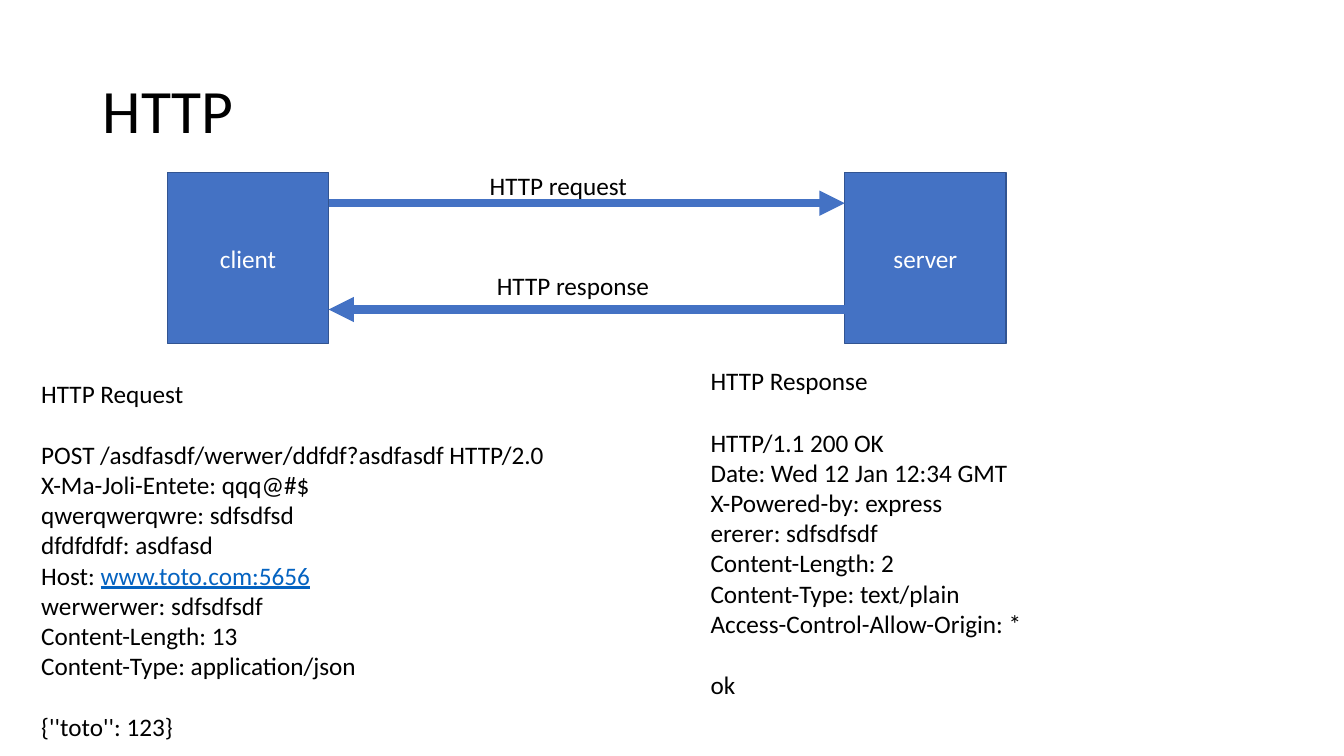
from dataclasses import dataclass
from lxml import etree
from pptx import Presentation
from pptx.dml.color import RGBColor
from pptx.enum.shapes import MSO_CONNECTOR, MSO_SHAPE
from pptx.enum.text import MSO_ANCHOR, MSO_AUTO_SIZE, PP_ALIGN
from pptx.oxml.ns import qn
from pptx.util import Inches, Pt

RECT = MSO_SHAPE.RECTANGLE
STRAIGHT = MSO_CONNECTOR.STRAIGHT
TOP, MIDDLE = MSO_ANCHOR.TOP, MSO_ANCHOR.MIDDLE
CENTER = PP_ALIGN.CENTER
GROW = MSO_AUTO_SIZE.SHAPE_TO_FIT_TEXT


@dataclass(frozen=True)
class Theme:
    font: str = "Calibri"
    ink: str = "000000"
    paper: str = "FFFFFF"
    fill: str = "4472C4"
    edge: str = "325491"
    link: str = "0563C1"
    head: int = 44
    body: int = 18
    gap: int = 22
    thin: int = 1
    thick: int = 6


@dataclass(frozen=True)
class Box:
    x: float
    y: float
    w: float
    h: float

    def share(self, x, y, w, h):
        return Box(self.x + self.w * x / 100, self.y + self.h * y / 100,
                   self.w * w / 100, self.h * h / 100)

    def place(self):
        return [Inches(size) for size in (self.x, self.y, self.w, self.h)]


THEME = Theme()
PAGE = Box(0, 0, 13.33, 7.5)
LINK = "www.toto.com:5656"

REQUEST = [
    ["HTTP Request"],
    ["POST /asdfasdf/werwer/ddfdf?asdfasdf HTTP/2.0", "X-Ma-Joli-Entete: qqq@#$",
     "qwerqwerqwre: sdfsdfsd", "dfdfdfdf: asdfasd", "Host: " + LINK,
     "werwerwer: sdfsdfsdf", "Content-Length: 13", "Content-Type: application/json"],
    ["{''toto'': 123}"],
]
RESPONSE = [
    ["HTTP Response"],
    ["HTTP/1.1 200 OK", "Date: Wed 12 Jan 12:34 GMT", "X-Powered-by: express",
     "ererer: sdfsdfsdf", "Content-Length: 2", "Content-Type: text/plain",
     "Access-Control-Allow-Origin: *"],
    ["ok"],
]


def rgb(code):
    return RGBColor.from_string(code)


def style(run, size, color):
    run.font.name = THEME.font
    run.font.size = Pt(size)
    run.font.color.rgb = rgb(color)


def add_text(slide, box, text, size=THEME.body, anchor=TOP, wrap=False):
    frame = slide.shapes.add_textbox(*box.place()).text_frame
    frame.word_wrap = wrap
    frame.vertical_anchor = anchor
    if not wrap:
        frame.auto_size = GROW
    frame.text = text
    for para in frame.paragraphs:
        for run in para.runs:
            style(run, size, THEME.ink)
    return frame


def add_title(slide, box, text):
    frame = add_text(slide, box, text, THEME.head, MIDDLE, True)
    frame.paragraphs[0].line_spacing = 0.9


def add_node(slide, box, text):
    node = slide.shapes.add_shape(RECT, *box.place())
    node.shadow.inherit = False
    node.fill.solid()
    node.fill.fore_color.rgb = rgb(THEME.fill)
    node.line.color.rgb = rgb(THEME.edge)
    node.line.width = Pt(THEME.thin)
    frame = node.text_frame
    frame.vertical_anchor = MIDDLE
    frame.text = text
    frame.paragraphs[0].alignment = CENTER
    style(frame.paragraphs[0].runs[0], THEME.body, THEME.paper)


def add_arrow(slide, start, end, y):
    arrow = slide.shapes.add_connector(
        STRAIGHT, Inches(start), Inches(y), Inches(end), Inches(y))
    arrow.line.color.rgb = rgb(THEME.fill)
    arrow.line.width = Pt(THEME.thick)
    props = arrow.element.spPr
    etree.SubElement(props.find(qn("a:ln")), qn("a:tailEnd"), type="triangle")
    etree.SubElement(props, qn("a:effectLst"))


def add_flow(slide, box):
    side = 19.23
    client = box.share(0, 0, side, 100)
    server = box.share(100 - side, 0, side, 100)
    add_node(slide, client, "client")
    add_node(slide, server, "server")
    left, right = client.x + client.w, server.x
    add_arrow(slide, left, right, box.y + box.h * 0.18)
    add_arrow(slide, right, left, box.y + box.h * 0.8)
    add_text(slide, box.share(37.26, -4.12, 19, 23.5), "HTTP request")
    add_text(slide, box.share(38.1, 54.12, 20.8, 23.5), "HTTP response")


def add_message(slide, box, blocks):
    lines = [line for block in blocks for line in block]
    frame = add_text(slide, box, "\n".join(lines))
    paras = iter(frame.paragraphs)
    for index, block in enumerate(blocks):
        for row, line in enumerate(block):
            para = next(paras)
            if index and not row:
                para.space_before = Pt(THEME.gap)
            if line.endswith(LINK):
                para.runs[0].text = line.removesuffix(LINK)
                run = para.add_run()
                run.text = LINK
                style(run, THEME.body, THEME.link)
                run.font.underline = True


def main():
    deck = Presentation()
    deck.slide_width, deck.slide_height = Inches(PAGE.w), Inches(PAGE.h)
    slide = deck.slides.add_slide(deck.slide_layouts[6])
    add_title(slide, PAGE.share(6.9, 5.33, 86.25, 19.33), "HTTP")
    add_flow(slide, PAGE.share(12.45, 22.8, 62.4, 22.67))
    add_message(slide, PAGE.share(2.33, 49.33, 39.3, 49.87), REQUEST)
    add_message(slide, PAGE.share(52.13, 47.73, 24.9, 45.73), RESPONSE)
    deck.save("out.pptx")


if __name__ == "__main__":
    main()
